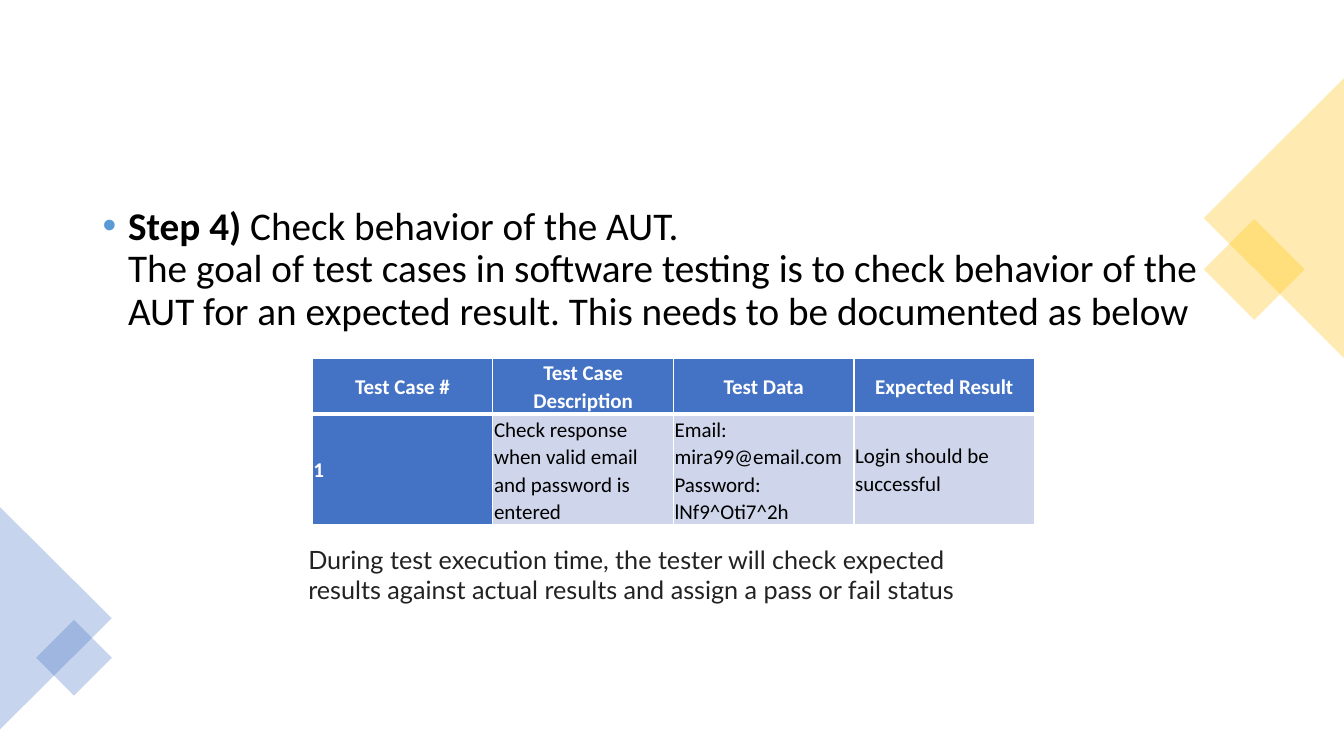
from lxml.etree import SubElement
from pptx import Presentation
from pptx.dml.color import RGBColor
from pptx.enum.shapes import MSO_SHAPE
from pptx.enum.text import MSO_ANCHOR, PP_ALIGN
from pptx.oxml import parse_xml
from pptx.oxml.ns import nsdecls, qn
from pptx.util import Cm, Pt

BLUE = RGBColor(0x44, 0x72, 0xC4)
GOLD = RGBColor(0xFF, 0xC0, 0x00)
BULLET_BLUE = RGBColor(0x5B, 0x9B, 0xD5)
PALE_BLUE = RGBColor(0xCF, 0xD5, 0xEA)
BLACK = RGBColor(0x00, 0x00, 0x00)
DARK_GREY = RGBColor(0x22, 0x22, 0x22)
WHITE = RGBColor(0xFF, 0xFF, 0xFF)

# Content; lengths in centimetres
STEP_LABEL = "Step 4)"
STEP_TITLE = " Check behavior of the AUT."
STEP_GOAL = ("The goal of test cases in software testing is to check behavior of the "
             "AUT for an expected result. This needs to be documented as below")
TEST_CASES = [
    ("Test Case #", "Test Case Description", "Test Data", "Expected Result"),
    ("1", "Check response when valid email and password is entered",
     "Email: mira99@email.com\nPassword: lNf9^Oti7^2h", "Login should be successful"),
]
CLOSING = ("During test execution time, the tester will check expected results "
           "against actual results and assign a pass or fail status")
ORNAMENTS = [  # preset, left, top, width, height, rotation, colour
    (MSO_SHAPE.RECTANGLE, 30.71, 5.89, 1.8, 1.8, 45, GOLD),
    (MSO_SHAPE.ISOSCELES_TRIANGLE, 28.58, 3.73, 7.04, 3.53, 270, GOLD),
    (MSO_SHAPE.ISOSCELES_TRIANGLE, -1.4, 14.17, 5.61, 2.82, 90, BLUE),
    (MSO_SHAPE.RECTANGLE, 1.19, 15.9, 1.35, 1.35, 45, BLUE),
]
COLUMN_WIDTH = 4.55
ROW_HEIGHTS = (1.42, 2.77)
CELL_MARGIN = 0.03


def style(run, size, font, color, bold=False):
    run.font.size = Pt(size)
    run.font.name = font
    run.font.color.rgb = color
    run.font.bold = bold


def add_text_area(slide, left, top, width, height):
    frame = slide.shapes.add_textbox(Cm(left), Cm(top), Cm(width), Cm(height)).text_frame
    frame.word_wrap = True
    return frame


def add_borders(cell, is_header):
    widths = {"lnL": 1, "lnR": 1, "lnT": 1 if is_header else 3, "lnB": 3 if is_header else 1}
    for place, (tag, width) in enumerate(widths.items()):
        cell._tc.get_or_add_tcPr().insert(place, parse_xml(
            f'<a:{tag} {nsdecls("a")} w="{Pt(width)}"><a:solidFill>'
            f'<a:srgbClr val="{WHITE}"/></a:solidFill></a:{tag}>'))


def main():
    deck = Presentation()
    deck.slide_width, deck.slide_height = Cm(33.87), Cm(19.05)
    slide = deck.slides.add_slide(deck.slide_layouts[6])

    # Translucent corner ornaments
    for preset, left, top, width, height, rotation, color in ORNAMENTS:
        ornament = slide.shapes.add_shape(preset, Cm(left), Cm(top), Cm(width), Cm(height))
        ornament.rotation = rotation
        ornament.shadow.inherit = False
        ornament.line.fill.background()
        ornament.fill.solid()
        ornament.fill.fore_color.rgb = color
        tint = ornament.fill._xPr.find(f".//{qn('a:srgbClr')}")
        SubElement(tint, qn("a:alpha"), val="30000")

    # Bulleted step
    step = add_text_area(slide, 2.34, 5.08, 29.21, 12.09).paragraphs[0]
    step.text = STEP_LABEL
    step.add_run().text = STEP_TITLE
    step.add_line_break()
    step.add_run().text = STEP_GOAL
    step.line_spacing = 0.9
    for run in step.runs:
        style(run, 28, "Calibri", BLACK, bold=run.text == STEP_LABEL)
    bullet = step._p.get_or_add_pPr()
    bullet.set("marL", str(Cm(0.64)))
    bullet.set("indent", str(-Cm(0.64)))
    SubElement(SubElement(bullet, qn("a:buClr")), qn("a:srgbClr"), val=str(BULLET_BLUE))
    SubElement(bullet, qn("a:buFont"), typeface="Arial")
    SubElement(bullet, qn("a:buChar"), char="•")

    # Test case table
    column_count = len(TEST_CASES[0])
    table = slide.shapes.add_table(
        len(TEST_CASES), column_count, Cm(7.87), Cm(9.02),
        Cm(COLUMN_WIDTH * column_count), Cm(sum(ROW_HEIGHTS))).table
    for column in table.columns:
        column.width = Cm(COLUMN_WIDTH)
    for row, (height, entries) in enumerate(zip(ROW_HEIGHTS, TEST_CASES)):
        table.rows[row].height = Cm(height)
        for col, entry in enumerate(entries):
            cell = table.cell(row, col)
            is_header = row == 0
            is_heading = is_header or col == 0
            cell.margin_left = cell.margin_right = Cm(CELL_MARGIN)
            cell.margin_top = cell.margin_bottom = Cm(CELL_MARGIN)
            cell.vertical_anchor = MSO_ANCHOR.MIDDLE
            cell.fill.solid()
            cell.fill.fore_color.rgb = BLUE if is_heading else PALE_BLUE
            add_borders(cell, is_header)
            paragraph = cell.text_frame.paragraphs[0]
            paragraph.text = entry
            paragraph.alignment = PP_ALIGN.CENTER if is_header else PP_ALIGN.LEFT
            paragraph.line_spacing = 1.07
            for run in paragraph.runs:
                style(run, 15, "Calibri", WHITE if is_heading else BLACK, is_heading)

    # Closing remark
    closing = add_text_area(slide, 7.52, 13.59, 16.94, 1.8)
    closing.text = CLOSING
    style(closing.paragraphs[0].runs[0], 18, "Lato", DARK_GREY)

    deck.save("out.pptx")


if __name__ == "__main__":
    main()
